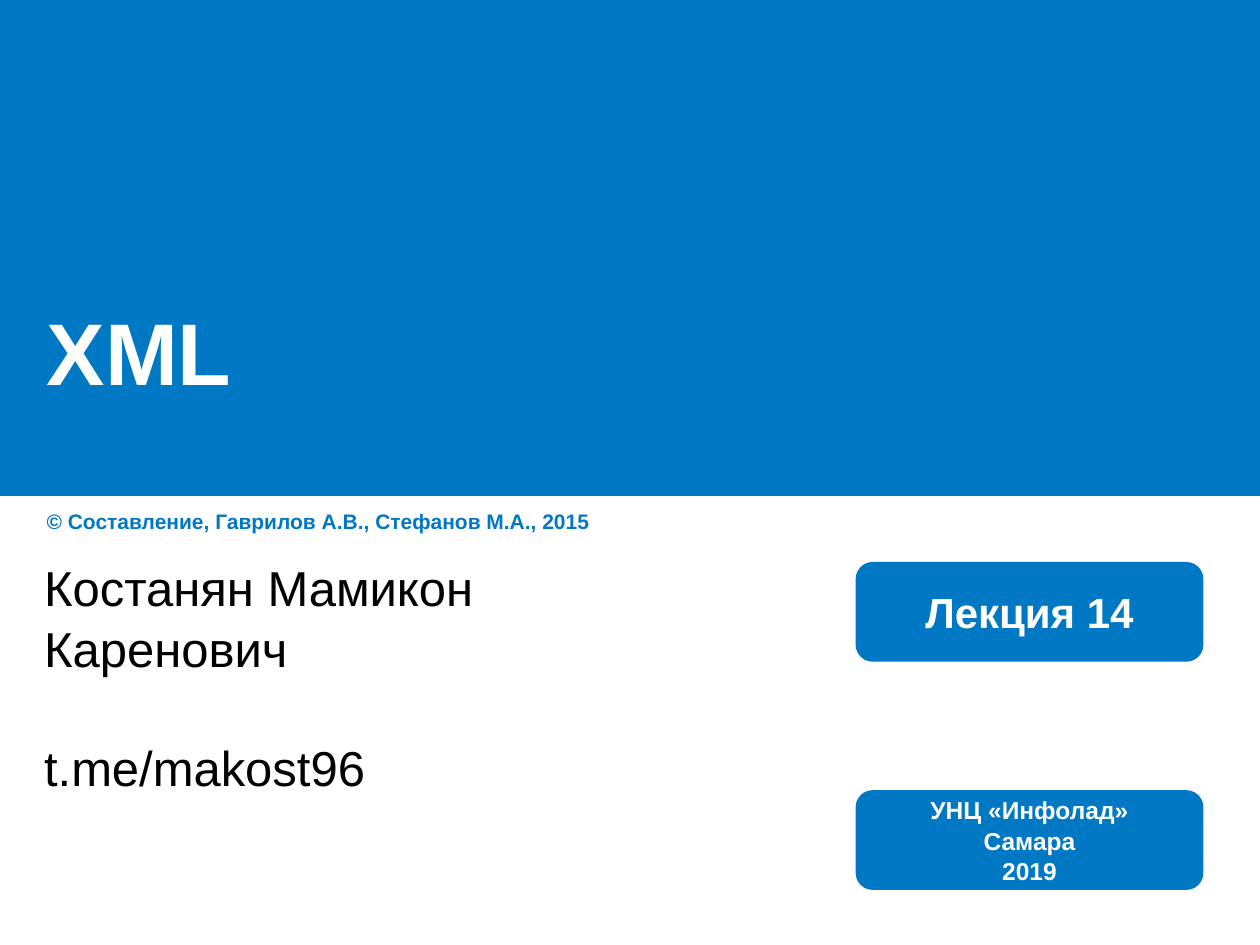
from pptx import Presentation
from pptx.dml.color import RGBColor
from pptx.enum.shapes import MSO_SHAPE as Geometry
from pptx.enum.text import MSO_ANCHOR as Anchor, MSO_AUTO_SIZE as AutoSize, PP_ALIGN as Align
from pptx.util import Cm, Pt

COLORS = {"blue": "0078C3", "white": "FFFFFF", "black": "000000"}


class LectureSlide:
    font = "Arial"

    def __init__(self, deck):
        self.slide = deck.slides.add_slide(deck.slide_layouts[5])
        self.shapes = self.slide.shapes

    def color(self, name):
        return RGBColor.from_string(COLORS[name])

    def add_lines(self, frame, lines, size, color, bold=True, align=Align.LEFT,
                  anchor=Anchor.MIDDLE, spacing=None, gap=0):
        frame.word_wrap = True
        frame.vertical_anchor = anchor
        for number, line in enumerate(lines):
            paragraph = frame.add_paragraph() if number else frame.paragraphs[0]
            paragraph.alignment = align
            if spacing:
                paragraph.line_spacing = spacing
            if number and gap:
                paragraph.space_before = Pt(gap)
            run = paragraph.add_run()
            run.text = line
            run.font.name = self.font
            run.font.size = Pt(size)
            run.font.bold = bold
            run.font.color.rgb = self.color(color)

    def block(self, geometry, left, top, width, height):
        block = self.shapes.add_shape(geometry, Cm(left), Cm(top), Cm(width), Cm(height))
        block.shadow.inherit = False
        block.fill.solid()
        block.fill.fore_color.rgb = self.color("blue")
        block.line.fill.background()
        return block

    def banner(self, width, height):
        banner = self.block(Geometry.RECTANGLE, 0, 0, width, height)
        self.shapes.title.element.addprevious(banner.element)

    def title(self, text, left, top, width, height):
        title = self.shapes.title
        title.left, title.top = Cm(left), Cm(top)
        title.width, title.height = Cm(width), Cm(height)
        self.add_lines(title.text_frame, [text], 50, "white")

    def badge(self, lines, top, size, spacing=None):
        badge = self.block(Geometry.ROUNDED_RECTANGLE, 17.25, top, 7.01, 2.01)
        badge.adjustments[0] = 0.17
        self.add_lines(badge.text_frame, lines, size, "white",
                       align=Align.CENTER, spacing=spacing)

    def text(self, lines, left, top, width, height, size, color, **style):
        box = self.shapes.add_textbox(Cm(left), Cm(top), Cm(width), Cm(height))
        box.text_frame.auto_size = AutoSize.SHAPE_TO_FIT_TEXT
        self.add_lines(box.text_frame, lines, size, color, anchor=Anchor.TOP, **style)


def main():
    deck = Presentation()
    deck.slide_width, deck.slide_height = Cm(25.4), Cm(19.05)

    cover = LectureSlide(deck)
    cover.banner(25.4, 10)
    cover.title("XML", 0.69, 3.99, 24, 6.15)
    cover.text(["© Составление, Гаврилов А.В., Стефанов М.А., 2015"],
               0.69, 10.13, 12.4, 0.76, 12, "blue")
    cover.badge(["Лекция 14"], 11.33, 24)
    cover.badge(["УНЦ «Инфолад»", "Самара", "2019"], 15.93, 14, spacing=1.04)
    cover.text(["Костанян Мамикон Каренович", "t.me/makost96"],
               0.64, 11.07, 13.34, 5.05, 28, "black", bold=False, spacing=1.04, gap=33)
    deck.save("out.pptx")


if __name__ == "__main__":
    main()
